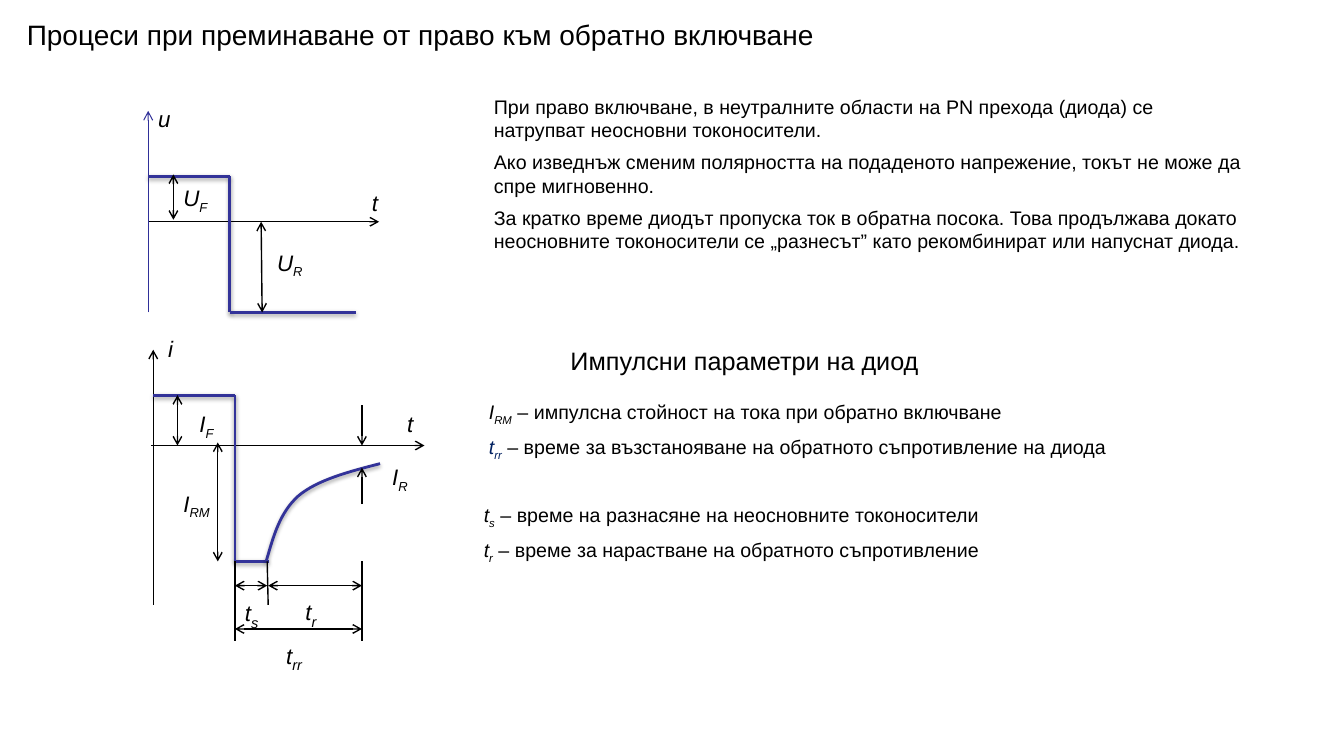
from lxml import etree
from pptx import Presentation
from pptx.dml.color import RGBColor
from pptx.enum.shapes import MSO_CONNECTOR as Link
from pptx.enum.text import MSO_ANCHOR as Anchor, MSO_AUTO_SIZE as Fit, PP_ALIGN as Align
from pptx.oxml import parse_xml
from pptx.oxml.ns import nsdecls, qn
from pptx.util import Inches, Pt

BLACK = RGBColor(0x00, 0x00, 0x00)
BLUE = RGBColor(0x33, 0x33, 0x99)
AXIS = RGBColor(0x2F, 0x2F, 0x98)
NAVY = RGBColor(0x00, 0x20, 0x60)
FONT = "Arial"

SHADOW = (
    f'<a:effectLst {nsdecls("a")}><a:outerShdw blurRad="39370" dist="20320" '
    'dir="5400000" rotWithShape="0"><a:srgbClr val="000000">'
    '<a:alpha val="38000"/></a:srgbClr></a:outerShdw></a:effectLst>'
)
PLAIN = f'<a:effectLst {nsdecls("a")}/>'

# Axes: start, end, colour, width
AXES = [
    ((1.47, 2.2), (3.76, 2.2), BLACK, 1),
    ((1.47, 3.1), (1.47, 1.1), AXIS, 0.75),
    ((1.52, 6), (1.52, 3.47), BLACK, 1),
    ((1.5, 4.42), (4.21, 4.42), BLACK, 1),
]
# Step signals as corner points
VOLTAGE = [(1.47, 1.75), (2.28, 1.75), (2.28, 3.1), (3.53, 3.1)]
CURRENT = [(1.52, 3.92), (2.33, 3.92), (2.33, 5.57), (2.67, 5.57)]
# Recovery curve as cubic segments
DECAY = [
    [(2.64, 5.57), (2.71, 5.33), (2.77, 5.09), (2.96, 4.92)],
    [(2.96, 4.92), (3.15, 4.76), (3.46, 4.68), (3.77, 4.6)],
]
SPANS = [
    ((2.59, 2.2), (2.6, 3.1)),
    ((1.72, 2.18), (1.72, 1.73)),
    ((1.76, 3.92), (1.76, 4.42)),
    ((2.16, 4.39), (2.16, 5.57)),
    ((2.33, 5.81), (2.65, 5.81)),
    ((2.66, 5.81), (3.59, 5.81)),
    ((2.33, 6.24), (3.59, 6.24)),
]
POINTERS = [((3.59, 4.02), (3.59, 4.42)), ((3.59, 5), (3.59, 4.64))]
GUIDES = [
    ((2.33, 5.57), (2.33, 6.36)),
    ((2.65, 5.57), (2.66, 6)),
    ((3.59, 5.57), (3.59, 6.36)),
]
# Labels: left, top, width, symbol, subscript, subscript size
LABELS = [
    (2.65, 2.42, 0.67, "U", "R", 16),
    (1.72, 1.78, 0.67, "U", "F", 16),
    (3.59, 1.83, 0.38, "t", "", 16),
    (1.47, 0.99, 0.58, "u", "", 16),
    (1.57, 3.28, 0.29, "i", "", 16),
    (3.94, 4.02, 0.38, "t", "", 16),
    (1.88, 4.02, 0.56, "I", "F", 16),
    (1.72, 4.81, 0.67, "I", "RM", 16),
    (3.79, 4.55, 0.52, "I", "R", 16),
    (2.33, 5.87, 0.41, "t", "s", 18),
    (2.93, 5.86, 0.41, "t", "r", 18),
    (2.74, 6.29, 0.47, "t", "rr", 18),
]
# Terms: symbol, subscript, meaning, symbol colour, indent, space before
TERMS = [
    ("I", "RM", "импулснa стойност на тока при обратно включване", BLACK, 0.05, 6),
    ("t", "rr", "време за възстанояване на обратното съпротивление на диода", NAVY, 0.05, 6),
    ("t", "s", "време на разнасяне на неосновните токоносители", BLACK, 0, 29),
    ("t", "r", "време за нарастване на обратното съпротивлениe", BLACK, 0, 6),
]
NOTES = [
    "При право включване, в неутралните области на PN прехода (диода) се "
    "натрупват неосновни токоносители.",
    "Ако изведнъж сменим полярността на подаденото напрежение, токът не може "
    "да спре мигновенно.",
    "За кратко време диодът пропуска ток в обратна посока. Това продължава "
    "докато неосновните токоносители се „разнесът” като рекомбинират или "
    "напуснат диода.",
]


def style(shape, color, width, effect):
    shape.line.color.rgb = color
    shape.line.width = Pt(width)
    shape.element.spPr.append(parse_xml(effect))


def add_line(shapes, start, end, color=BLACK, width=1, ends=(), effect=PLAIN):
    """Draw a line; ends lists headEnd and tailEnd where an arrow is wanted."""
    line = shapes.add_connector(Link.STRAIGHT, *map(Inches, start + end))
    style(line, color, width, effect)
    for end_name in ends:
        tip = etree.SubElement(line.element.spPr.find(qn("a:ln")), qn("a:" + end_name))
        tip.set("type", "arrow")


def add_steps(shapes, points):
    for start, end in zip(points, points[1:]):
        add_line(shapes, start, end, BLUE, 2, effect=SHADOW)


def bend(points, t):
    """Return the point at t on a cubic curve, as lengths."""
    parts = ((1 - t) ** 3, 3 * t * (1 - t) ** 2, 3 * t**2 * (1 - t), t**3)
    return tuple(Inches(sum(k * p[axis] for k, p in zip(parts, points))) for axis in (0, 1))


def add_curve(shapes, curves, steps=16):
    dots = [bend(curve, n / steps) for curve in curves for n in range(1, steps + 1)]
    path = shapes.build_freeform(*bend(curves[0], 0))
    path.add_line_segments(dots, close=False)
    shape = path.convert_to_shape()
    shape.fill.background()
    style(shape, BLUE, 2, SHADOW)


def add_run(para, text, size, color=BLACK, italic=False, sub=False):
    run = para.add_run()
    run.text = text
    font = run.font
    font.name, font.size, font.italic = FONT, Pt(size), italic
    font.color.rgb = color
    if sub:
        run._r.get_or_add_rPr().set("baseline", "-25000")


def add_symbol(para, name, sub, size, sub_size, color=BLACK):
    add_run(para, name, size, color, italic=True)
    if sub:
        add_run(para, sub, sub_size, color, italic=True, sub=True)


def add_box(shapes, left, top, width, height):
    frame = shapes.add_textbox(*map(Inches, (left, top, width, height))).text_frame
    frame.word_wrap = True
    return frame


def add_paras(frame, count):
    return [frame.paragraphs[0]] + [frame.add_paragraph() for _ in range(count - 1)]


def set_title(title, text):
    title.left, title.top, title.width, title.height = map(Inches, (0.14, 0.12, 8.06, 0.44))
    frame = title.text_frame
    frame.word_wrap, frame.auto_size = False, Fit.NONE
    frame.vertical_anchor = Anchor.MIDDLE
    frame.paragraphs[0].alignment = Align.CENTER
    add_run(frame.paragraphs[0], text, 20)


def add_plots(shapes):
    for start, end, color, width in AXES:
        add_line(shapes, start, end, color, width, ["tailEnd"])
    add_steps(shapes, VOLTAGE)
    add_steps(shapes, CURRENT)
    add_curve(shapes, DECAY)
    for lines, ends in ((SPANS, ["headEnd", "tailEnd"]), (POINTERS, ["tailEnd"]), (GUIDES, [])):
        for start, end in lines:
            add_line(shapes, start, end, ends=ends)
    for left, top, width, name, sub, size in LABELS:
        frame = add_box(shapes, left, top, width, 0.37)
        add_symbol(frame.paragraphs[0], name, sub, 16, size)


def add_notes(shapes):
    frame = add_box(shapes, 4.8, 0.89, 7.65, 1.68)
    for para, text in zip(add_paras(frame, len(NOTES)), NOTES):
        para.space_before = Pt(6)
        add_run(para, text, 14)


def add_terms(shapes):
    heading = add_box(shapes, 5.56, 3.38, 4.49, 0.4)
    add_run(heading.paragraphs[0], "Импулсни параметри на диод", 18)
    frame = add_box(shapes, 4.7, 3.92, 8.16, 1.62)
    for para, term in zip(add_paras(frame, len(TERMS)), TERMS):
        name, sub, text, color, indent, gap = term
        para.space_before = Pt(gap)
        para._p.get_or_add_pPr().set("marL", str(Inches(indent)))
        add_symbol(para, name, sub, 14, 14, color)
        add_run(para, " – " + text, 14)


def main():
    deck = Presentation()
    deck.slide_width, deck.slide_height = Inches(13.33), Inches(7.5)
    slide = deck.slides.add_slide(deck.slide_layouts[5])
    set_title(slide.shapes.title, "Процеси при преминаване от право към обратно включване")
    add_plots(slide.shapes.add_group_shape().shapes)
    add_notes(slide.shapes)
    add_terms(slide.shapes)
    deck.save("out.pptx")


if __name__ == "__main__":
    main()
